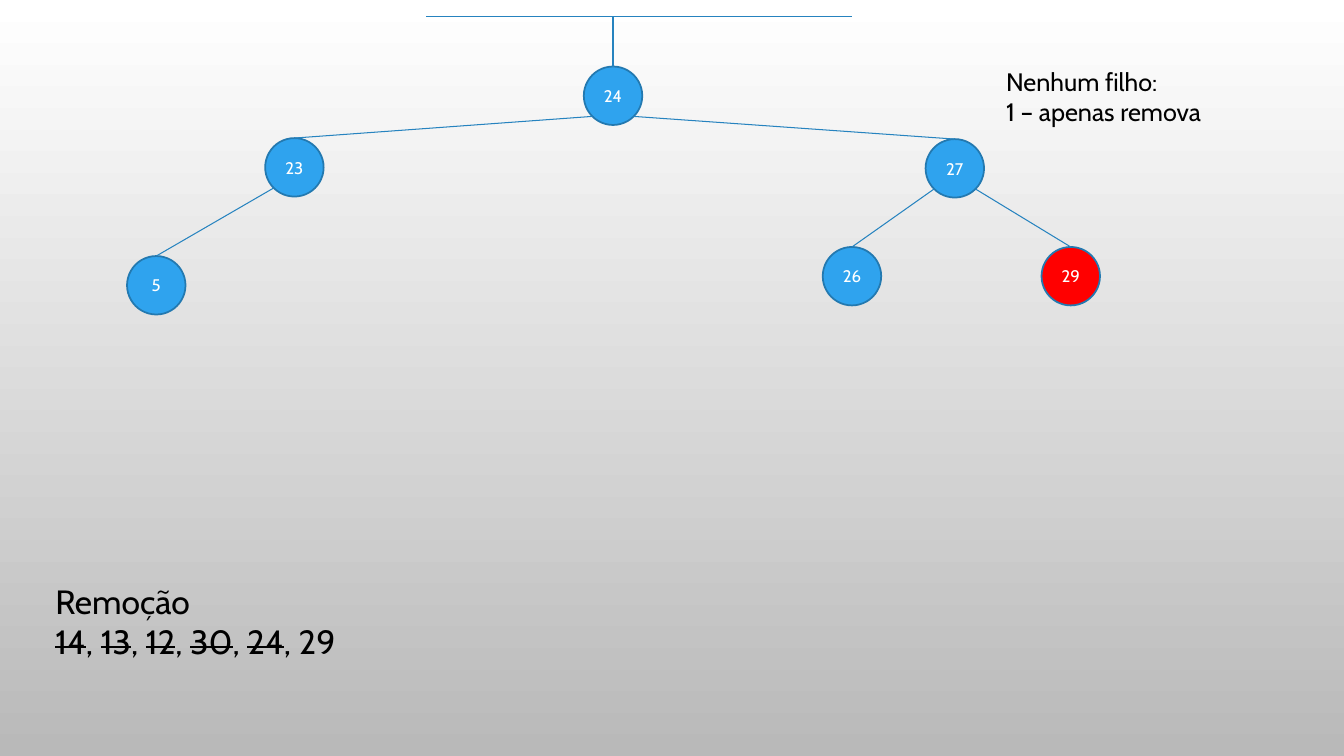
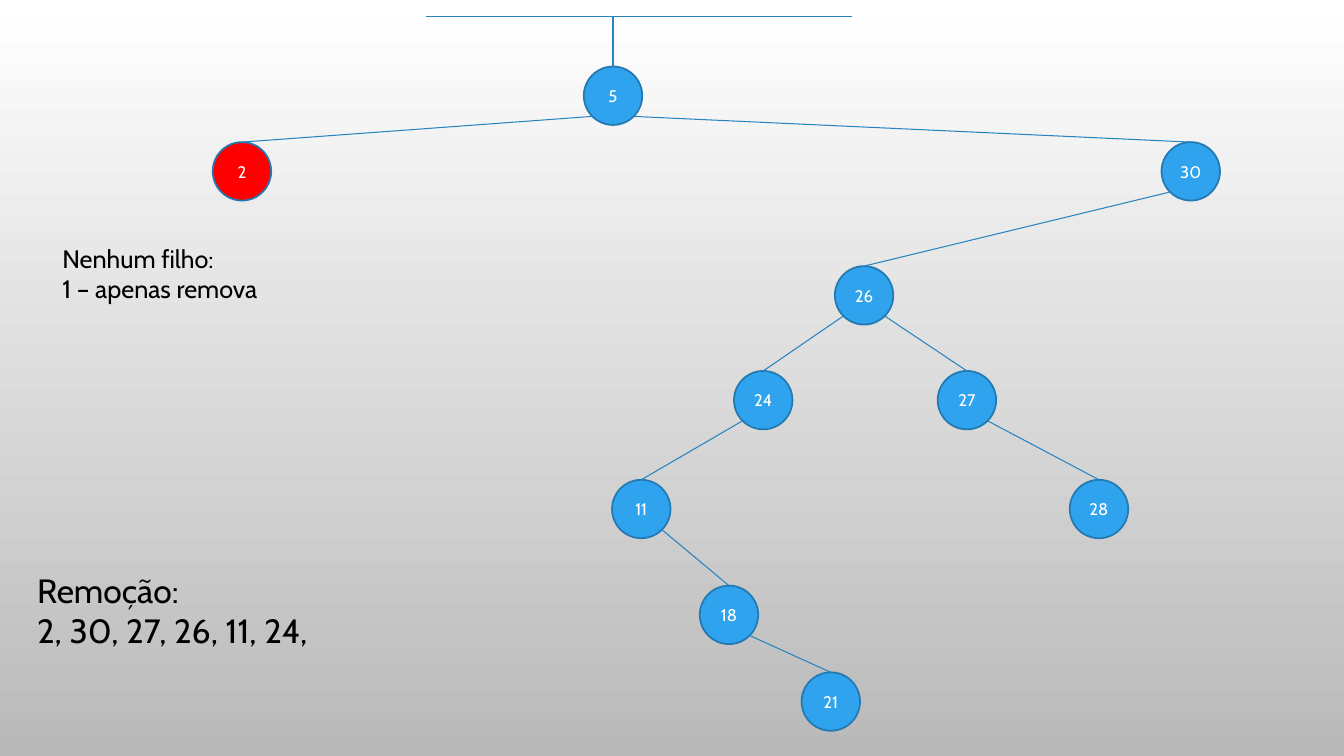
from typing import NamedTuple

from lxml.etree import SubElement
from pptx import Presentation
from pptx.dml.color import RGBColor
from pptx.enum.shapes import MSO_CONNECTOR, MSO_SHAPE
from pptx.enum.text import MSO_ANCHOR, MSO_AUTO_SIZE, PP_ALIGN
from pptx.oxml.ns import qn
from pptx.shapes.autoshape import Shape
from pptx.shapes.connector import Connector
from pptx.slide import Slide
from pptx.text.text import Font
from pptx.util import Inches, Pt

WHITE = RGBColor(0xFF, 0xFF, 0xFF)
GRAY = RGBColor(0xB9, 0xB9, 0xB9)
BLACK = RGBColor(0, 0, 0)
RED = RGBColor(0xFF, 0, 0)
BLUE = RGBColor(0x2F, 0xA3, 0xEE)
EDGE = RGBColor(0x23, 0x79, 0xB0)
LINK = RGBColor(0x26, 0x83, 0xBF)

FACE = "Cabin"
SIZE = 0.58
DIAG = SIZE / 2 * 0.5 ** 0.5
ROOT_X, ROOT_Y = 5.79, 0.66
BAR_Y = 0.16


class Node(NamedTuple):
    key: int
    x: float
    y: float
    up: int | None = None
    fill: RGBColor = BLUE


class Note(NamedTuple):
    x: float
    y: float
    width: float
    height: float
    size: int
    lines: list[str]
    struck: tuple[str, ...] = ()


class Tree(NamedTuple):
    nodes: list[Node]
    notes: list[Note]


def rule_note(x: float, y: float) -> Note:
    return Note(x, y, 2.16, 0.71, 18, ["Nenhum filho:\v1 – apenas remova"])


TREES = [
    Tree(
        [
            Node(24, ROOT_X, ROOT_Y),
            Node(23, 2.63, 1.37, 24),
            Node(27, 9.18, 1.38, 24),
            Node(5, 1.26, 2.54, 23),
            Node(26, 8.16, 2.45, 27),
            Node(29, 10.33, 2.45, 27, RED),
        ],
        [
            Note(0.45, 5.71, 3.26, 0.91, 24,
                 ["Remoção", "14, 13, 12, 30, 24, 29"],
                 ("14", "13", "12", "30", "24")),
            rule_note(9.88, 0.61),
        ],
    ),
    Tree(
        [
            Node(5, ROOT_X, ROOT_Y),
            Node(2, 2.11, 1.41, 5, RED),
            Node(30, 11.52, 1.41, 5),
            Node(26, 8.28, 2.64, 30),
            Node(24, 7.28, 3.68, 26),
            Node(27, 9.3, 3.68, 26),
            Node(11, 6.07, 4.76, 24),
            Node(28, 10.61, 4.76, 27),
            Node(18, 6.94, 5.81, 11),
            Node(21, 7.95, 6.67, 18),
        ],
        [
            Note(0.27, 5.6, 3.15, 0.91, 24,
                 ["Remoção:", "2, 30, 27, 26, 11, 24,"]),
            rule_note(0.52, 2.36),
        ],
    ),
]


def style_font(font: Font, size: int, color: RGBColor) -> None:
    font.name = FACE
    font.size = Pt(size)
    font.color.rgb = color


def add_line(slide: Slide, x1: float, y1: float, x2: float, y2: float) -> Connector:
    line = slide.shapes.add_connector(
        MSO_CONNECTOR.STRAIGHT, Inches(x1), Inches(y1), Inches(x2), Inches(y2))
    line.line.color.rgb = LINK
    line.line.width = Pt(0.75)
    SubElement(line._element.spPr, qn("a:effectLst"))
    return line


def add_node(slide: Slide, node: Node) -> Shape:
    disc = slide.shapes.add_shape(
        MSO_SHAPE.OVAL, Inches(node.x), Inches(node.y), Inches(SIZE), Inches(SIZE))
    disc.shadow.inherit = False
    disc.fill.solid()
    disc.fill.fore_color.rgb = node.fill
    disc.line.color.rgb = EDGE
    disc.line.width = Pt(1.25)
    frame = disc.text_frame
    frame.margin_left = frame.margin_right = 0
    frame.vertical_anchor = MSO_ANCHOR.MIDDLE
    frame.text = str(node.key)
    label = frame.paragraphs[0]
    label.alignment = PP_ALIGN.CENTER
    style_font(label.runs[0].font, 12, WHITE)
    return disc


def add_link(slide: Slide, node: Node, top: Node, disc: Shape) -> None:
    """Join the parent's lower left or right rim to the top of its child."""
    side = -DIAG if node.x < top.x else DIAG
    half = SIZE / 2
    line = add_line(slide, top.x + half + side, top.y + half + DIAG,
                    node.x + half, node.y)
    line.end_connect(disc, 0)


def add_note(slide: Slide, note: Note) -> None:
    box = slide.shapes.add_textbox(
        Inches(note.x), Inches(note.y), Inches(note.width), Inches(note.height))
    frame = box.text_frame
    frame.word_wrap = False
    frame.auto_size = MSO_AUTO_SIZE.SHAPE_TO_FIT_TEXT
    frame.text = "\n".join(note.lines)
    if note.struck:
        last = frame.paragraphs[-1]
        last.clear()
        for i, item in enumerate(note.lines[-1].split(", ")):
            if i:
                last.add_run().text = ", "
            run = last.add_run()
            run.text = item
            if item in note.struck:
                run._r.get_or_add_rPr().set("strike", "sngStrike")
    for line in frame.paragraphs:
        for run in line.runs:
            style_font(run.font, note.size, BLACK)


def add_tree(slide: Slide, tree: Tree) -> None:
    add_line(slide, 4.23, BAR_Y, 8.45, BAR_Y)
    discs = {node.key: add_node(slide, node) for node in tree.nodes}
    by_key = {node.key: node for node in tree.nodes}
    for node in tree.nodes:
        disc = discs[node.key]
        if node.up is None:
            mid = node.x + SIZE / 2
            add_line(slide, mid, BAR_Y, mid, node.y).end_connect(disc, 0)
        else:
            add_link(slide, node, by_key[node.up], disc)
    for note in tree.notes:
        add_note(slide, note)


def main() -> None:
    deck = Presentation()
    deck.slide_width, deck.slide_height = Inches(13.33), Inches(7.5)
    fill = deck.slide_master.background.fill
    fill.gradient()
    fill.gradient_angle = 270
    for stop, color in zip(fill.gradient_stops, (WHITE, GRAY)):
        stop.color.rgb = color
    for tree in TREES:
        add_tree(deck.slides.add_slide(deck.slide_layouts[6]), tree)
    deck.save("out.pptx")


if __name__ == "__main__":
    main()
